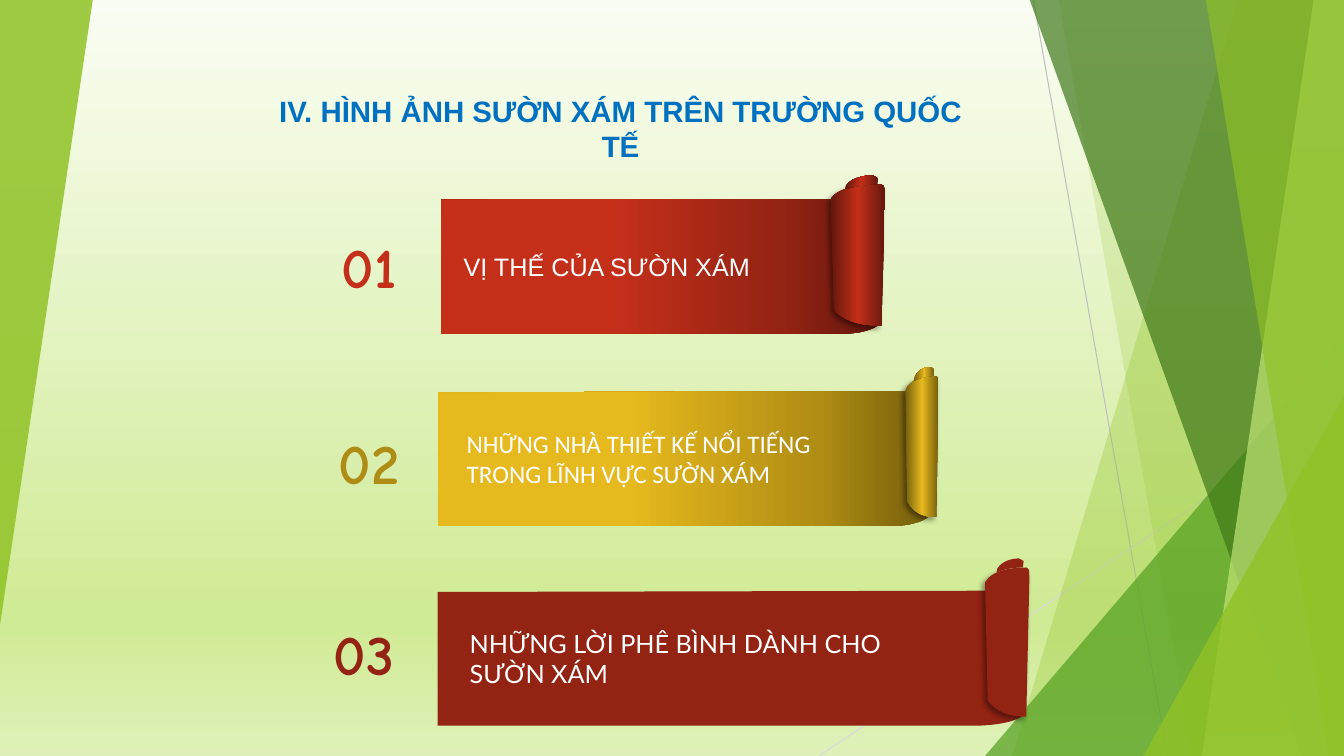
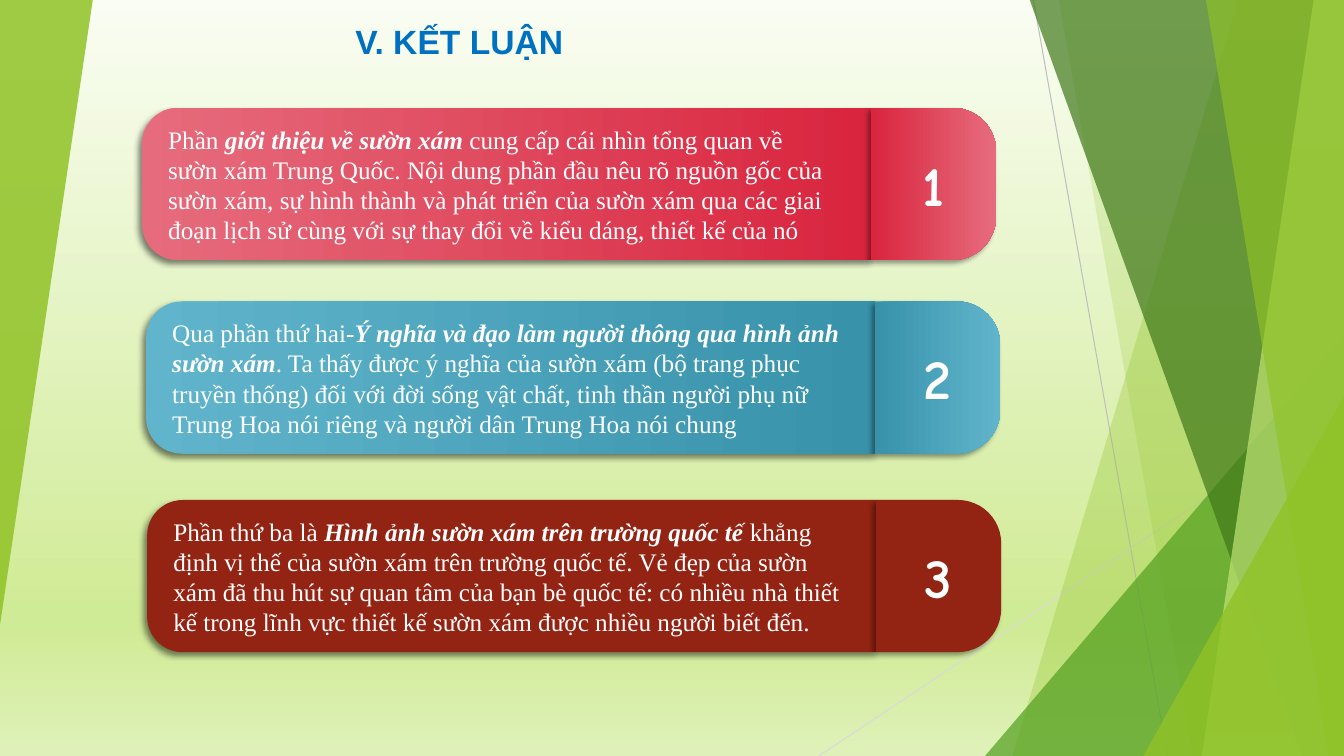
from dataclasses import dataclass

from lxml.etree import SubElement
from pptx import Presentation
from pptx.dml.color import RGBColor
from pptx.enum.shapes import MSO_CONNECTOR, MSO_SHAPE
from pptx.enum.text import MSO_ANCHOR, MSO_AUTO_SIZE, PP_ALIGN
from pptx.oxml.ns import qn
from pptx.util import Pt

PX = 9144  # EMU: 100 px to the inch
WIDTH, HEIGHT = 1333, 750


@dataclass(frozen=True)
class Gradient:
    """Stops are (percent, colour); the angle runs clockwise from the left."""
    stops: tuple
    angle: int


class Theme:
    white, blue = "FFFFFF", "0070C0"
    lime, leaf, forest, pale = "90C226", "54A021", "3F7819", "C0E474"
    red_dark, maroon, red = "62170D", "932313", "C42F1A"
    gold_dark, ochre, gold = "755E0D", "AF8C14", "E6B91E"
    rose, crimson, sky, teal = "E66C7D", "D9253E", "60B5CC", "3792AA"
    backdrop = Gradient(((0, "FAFDF3"), (81, "D0EB96"), (83, "D0EB96"),
                         (100, "DFF1B9")), 90)
    hairlines = ((1025, 0, 1158, 750, "BFBFBF"), (1333, 403, 812, 750, "D9D9D9"))
    title = dict(name="Arial", size=Pt(21), bold=True)
    last_title = {**title, "size": Pt(24)}
    label = dict(size=Pt(18))
    body = dict(name="Times New Roman", size=Pt(18))
    emphasis = dict(bold=True, italic=True)
    banner_number = dict(name="Comic Neue", size=Pt(40.5), bold=True)
    card_number = {**banner_number, "size": Pt(40)}


# Outlines in fractions of their box: pairs are corners, sixes are Bézier curves.
SHEET = ((0, .01), (0, 1), (.915, 1), (.963, 1, .99, .963, 1, .933),
         (1, .62, .99, .31, .993, 0), (0, .01))
CURL = ((.93, 1), (.69, 1, .3, .99, .06, .89), (0, .1),
        (.17, .01, .67, 0, .93, 0), (1.03, .01, .98, .04, 1, .06), (.93, 1))
FOLD = ((0, 1), (.03, .71), (.24, .07, .7, 0, .82, 0),
        (.91, .07, .97, .14, 1, .21), (.97, .64), (.73, .64, .33, .71, 0, 1))


def emu(*lengths):
    return [round(n * PX) for n in lengths]


def paint(fill, element, colour, alpha=100):
    """Fill with a colour or a Gradient; element is the XML that holds the fill."""
    if isinstance(colour, Gradient):
        fill.gradient()
        fill.gradient_angle = (360 - colour.angle) % 360
        stops = element.find(".//" + qn("a:gsLst"))
        for old in list(stops):
            stops.remove(old)
        for pos, rgb in colour.stops:
            gs = SubElement(stops, qn("a:gs"), pos=str(pos * 1000))
            SubElement(gs, qn("a:srgbClr"), val=rgb)
        return
    fill.solid()
    fill.fore_color.rgb = RGBColor.from_string(colour)
    if alpha < 100:
        clr = element.find(".//" + qn("a:srgbClr"))
        SubElement(clr, qn("a:alpha"), val=str(alpha * 1000))


class Deck:
    def __init__(self):
        self.prs = Presentation()
        self.prs.slide_width, self.prs.slide_height = emu(WIDTH, HEIGHT)

    def new_slide(self):
        self.s = self.prs.slides.add_slide(self.prs.slide_layouts[6])
        if len(self.prs.slides) == 1:
            self.dress_master()

    def dress_master(self):
        """Draw the shared decoration, then move it to the slide master."""
        master = self.prs.slide_master
        paint(master.background.fill, master.element, Theme.backdrop)
        for *ends, colour in Theme.hairlines:
            self.line(ends, colour)
        self.shard(1228, 1004, Theme.lime, 30)
        self.shard(1050, 1183, Theme.lime, 20)
        self.triangle((977, 333, 356, 417), Theme.leaf, 72)
        self.shard(1021, 1291, Theme.forest, 70)
        self.shard(1303, 1192, Theme.pale, 70)
        self.shard(1196, 1318, Theme.lime, 65)
        self.triangle((1134, 393, 199, 357), Theme.lime, 80)
        self.triangle((0, 0, 92, 620), Theme.lime, 85, rotation=180)
        tree = master.element.cSld.spTree
        for sp in list(self.s.shapes):
            tree.append(sp._element)

    def line(self, ends, colour):
        c = self.s.shapes.add_connector(MSO_CONNECTOR.STRAIGHT, *emu(*ends))
        c.line.color.rgb = RGBColor.from_string(colour)
        c.line.width = Pt(.75)
        SubElement(c._element.spPr, qn("a:effectLst"))

    def finish(self, sp, colour, alpha=100, shadow=0):
        """Fill a shape, drop its line and give it a shadow of that opacity."""
        spPr = sp._element.spPr
        paint(sp.fill, spPr, colour, alpha)
        sp.line.fill.background()
        sp.shadow.inherit = False
        if shadow:
            outer = SubElement(spPr.find(qn("a:effectLst")), qn("a:outerShdw"),
                               blurRad=str(Pt(4)), dist=str(Pt(3)),
                               dir=str(135 * 60000), algn="tr", rotWithShape="0")
            clr = SubElement(outer, qn("a:srgbClr"), val="000000")
            SubElement(clr, qn("a:alpha"), val=str(shadow * 1000))

    def freeform(self, box, outline, colour, **finish):
        """Build the outline with straight sides, then bend those with controls."""
        x, y, w, h = box
        parts = [[emu(x + w * u, y + h * v) for u, v in zip(part[::2], part[1::2])]
                 for part in outline]
        builder = self.s.shapes.build_freeform(*parts[0][-1], scale=1.0)
        builder.add_line_segments([part[-1] for part in parts[1:]], close=True)
        sp = builder.convert_to_shape()
        sides = sp._element.spPr.findall(".//" + qn("a:lnTo"))
        for side, (*controls, _) in zip(sides, parts[1:]):
            if controls:
                side.tag = qn("a:cubicBezTo")
            for i, (cx, cy) in enumerate(controls):
                pt = SubElement(side, qn("a:pt"), x=str(cx - sp.left), y=str(cy - sp.top))
                side.insert(i, pt)
        self.finish(sp, colour, **finish)

    def shard(self, top_x, bottom_x, colour, alpha):
        """Full-height panel with a slanted left edge, out to the right border."""
        corners = ((top_x, 0), (WIDTH, 0), (WIDTH, 1), (bottom_x, 1), (top_x, 0))
        self.freeform((0, -1, 1, HEIGHT + 1), corners, colour, alpha=alpha)

    def triangle(self, box, colour, alpha, rotation=0):
        sp = self.s.shapes.add_shape(MSO_SHAPE.ISOSCELES_TRIANGLE, *emu(*box))
        sp.adjustments[0] = 1
        sp.rotation = rotation
        self.finish(sp, colour, alpha)

    def text(self, box, runs, style, colour=Theme.white, align=PP_ALIGN.LEFT,
             anchor=MSO_ANCHOR.MIDDLE, wrap=True, fill=None):
        """Runs are (text, extra style) pairs; a fill makes the box a rectangle."""
        if fill:
            sp = self.s.shapes.add_shape(MSO_SHAPE.RECTANGLE, *emu(*box))
            self.finish(sp, fill)
        else:
            sp = self.s.shapes.add_textbox(*emu(*box))
        tf = sp.text_frame
        tf.word_wrap = wrap
        tf.auto_size = MSO_AUTO_SIZE.SHAPE_TO_FIT_TEXT
        tf.vertical_anchor = anchor
        p = tf.paragraphs[0]
        p.alignment = align
        for words, extra in runs:
            r = p.add_run()
            r.text = words
            r.font.color.rgb = RGBColor.from_string(colour)
            for key, value in {**style, **extra}.items():
                setattr(r.font, key, value)

    def centred(self, box, words, style, colour, **options):
        self.text(box, [(words, {})], style, colour, PP_ALIGN.CENTER, **options)

    def banner(self, sheet, curl, sheet_fill, curl_fill):
        x, y, w, h = curl
        self.freeform(sheet, SHEET, sheet_fill)
        self.freeform(curl, CURL, curl_fill, shadow=40)
        self.freeform((x + .26 * w, y - 9, .61 * w, 14), FOLD, curl_fill)

    def round_end(self, box, rotation, radius, colour, shadow):
        """Rectangle rounded on one side: left at 270 degrees, right at 90."""
        x, y, w, h = box
        upright = (x + (w - h) / 2, y + (h - w) / 2, h, w)
        sp = self.s.shapes.add_shape(MSO_SHAPE.ROUND_2_SAME_RECTANGLE, *emu(*upright))
        sp.adjustments[0], sp.adjustments[1] = radius, 0
        sp.rotation = rotation
        self.finish(sp, colour, shadow=shadow)

    def card(self, left, top, number, colours, text_width, runs):
        outer, inner = colours
        bar_fill = tab_fill = outer
        text_fill = outer
        if outer != inner:
            bar_fill = Gradient(((0, outer), (99, inner)), 90)
            tab_fill = Gradient(((0, inner), (100, outer)), 270)
            text_fill = None
        tab = left + 723
        self.round_end((left, top, 723, 151), 270, .233, bar_fill, 50)
        self.round_end((tab, top, 124, 151), 90, .347, tab_fill, 40)
        self.centred((tab + 35, top + 37, 54, 77), number, Theme.card_number,
                     Theme.white, wrap=False, fill=text_fill)
        self.text((left + 16, top + 11, text_width, 131), runs, Theme.body,
                  anchor=MSO_ANCHOR.TOP, fill=text_fill)


def scroll_fills(dark, middle, bright):
    return (Gradient(((0, dark), (22, middle), (61, bright)), 180),
            Gradient(((0, dark), (50, bright), (100, dark)), 180))


def contents_slide(deck):
    deck.new_slide()
    deck.centred((254, 87, 723, 81), "IV. HÌNH ẢNH SƯỜN XÁM TRÊN TRƯỜNG QUỐC TẾ",
                 Theme.title, Theme.blue)
    banners = (
        ((437, 197, 435, 134), (824, 183, 54, 140),
         scroll_fills(Theme.red_dark, Theme.maroon, Theme.red),
         "01", (321, 225), Theme.red,
         "VỊ THẾ CỦA SƯỜN XÁM", "Arial", (450, 244, 332, 40)),
        ((434, 388, 487, 134), (898, 373, 33, 140),
         scroll_fills(Theme.gold_dark, Theme.ochre, Theme.gold),
         "02", (321, 419), Theme.ochre,
         "NHỮNG NHÀ THIẾT KẾ NỔI TIẾNG TRONG LĨNH VỰC SƯỜN XÁM", "Calibri",
         (453, 419, 403, 71)),
        ((434, 586, 579, 134), (977, 563, 44, 148), (Theme.maroon, Theme.maroon),
         "03", (316, 609), Theme.maroon,
         "NHỮNG LỜI PHÊ BÌNH DÀNH CHO SƯỜN XÁM", "Lato", (456, 618, 461, 71)),
    )
    for sheet, curl, fills, number, spot, colour, words, font, label_box in banners:
        deck.banner(sheet, curl, *fills)
        deck.centred((*spot, 90, 78), number, Theme.banner_number, colour, wrap=False)
        deck.text(label_box, [(words, {"name": font})], Theme.label)


def conclusion_slide(deck):
    deck.new_slide()
    deck.centred((94, 16, 723, 50), "V. KẾT LUẬN", Theme.last_title, Theme.blue)
    cards = (
        (141, 107, (Theme.rose, Theme.crimson), 684,
         "Phần ", "giới thiệu về sườn xám ",
         "cung cấp cái nhìn tổng quan về sườn xám Trung Quốc. Nội dung phần đầu nêu rõ "
         "nguồn gốc của sườn xám, sự hình thành và phát triển của sườn xám qua các giai "
         "đoạn lịch sử cùng với sự thay đổi về kiểu dáng, thiết kế của nó"),
        (145, 299, (Theme.sky, Theme.teal), 708,
         "Qua phần thứ hai-", "Ý nghĩa và đạo làm người thông qua hình ảnh sườn xám",
         ". Ta thấy được ý nghĩa của sườn xám (bộ trang phục truyền thống) đối với đời "
         "sống vật chất, tinh thần người phụ nữ Trung Hoa nói riêng và người dân Trung "
         "Hoa nói chung"),
        (146, 496, (Theme.maroon, Theme.maroon), 695,
         "Phần thứ ba là ", "Hình ảnh sườn xám trên trường quốc tế ",
         "khẳng định vị thế của sườn xám trên trường quốc tế. Vẻ đẹp của sườn xám đã thu "
         "hút sự quan tâm của bạn bè quốc tế: có nhiều nhà thiết kế trong lĩnh vực thiết "
         "kế sườn xám được nhiều người biết đến."),
    )
    for i, (left, top, colours, width, lead, key, rest) in enumerate(cards, 1):
        deck.card(left, top, str(i), colours, width,
                  [(lead, {}), (key, Theme.emphasis), (rest, {})])


def main():
    deck = Deck()
    contents_slide(deck)
    conclusion_slide(deck)
    deck.prs.save("out.pptx")


if __name__ == "__main__":
    main()
